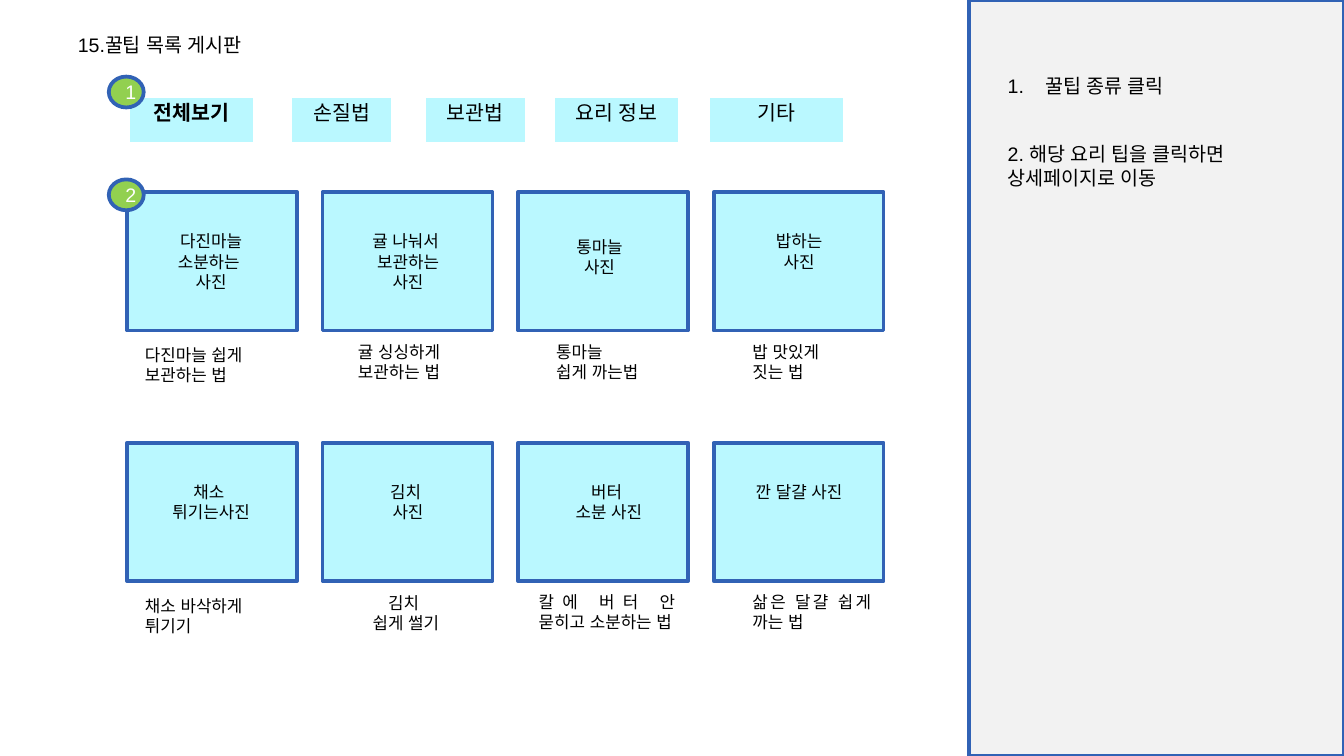
from dataclasses import dataclass
from lxml.etree import SubElement
from pptx import Presentation
from pptx.dml.color import RGBColor
from pptx.enum.shapes import MSO_SHAPE
from pptx.enum.text import MSO_ANCHOR, MSO_AUTO_SIZE, PP_ALIGN
from pptx.oxml.ns import qn
from pptx.util import Inches, Pt

UNIT = 0.1
FONT = "Arial"
BLACK, WHITE = "000000", "FFFFFF"
CYAN, BLUE, GREEN, GREY = "BAF8FF", "3162B5", "92D050", "F2F2F2"
LEFT, MID, JUST = PP_ALIGN.LEFT, PP_ALIGN.CENTER, PP_ALIGN.JUSTIFY

CARD_X, CARD_Y = 9.45, 14.3
CARD_W, CARD_H = 12.65, 10.3
STEP_X, STEP_Y = 14.55, 18.65


@dataclass
class Box:
    x: float
    y: float
    w: float
    h: float

    def emu(self) -> list:
        return [Inches(v * UNIT) for v in (self.x, self.y, self.w, self.h)]


@dataclass
class Tab:
    x: float
    w: float
    text: str
    bold: bool = False


@dataclass
class Label:
    text: str
    dx: float
    dy: float
    w: float
    align: PP_ALIGN = MID


@dataclass
class Card:
    col: int
    row: int
    photo: Label
    title: Label


TABS = [
    Tab(9.6, 9.3, "전체보기", True),
    Tab(21.7, 7.45, "손질법"),
    Tab(31.65, 7.45, "보관법"),
    Tab(41.2, 9.3, "요리 정보"),
    Tab(52.8, 9.95, "기타"),
]

CARDS = [
    Card(0, 0, Label("다진마늘\n소분하는 \n사진", 1.8, 2.4, 8.9),
         Label("다진마늘 쉽게 보관하는 법", 0.35, 10.85, 10.2, LEFT)),
    Card(1, 0, Label("귤 나눠서 \n보관하는\n사진", 1.9, 2.4, 8.9),
         Label("귤 싱싱하게 보관하는 법", 1.65, 10.65, 9.1, LEFT)),
    Card(2, 0, Label("통마늘\n사진", 1.6, 2.8, 8.9),
         Label("통마늘 \n쉽게 까는법", 1.85, 10.6, 10.8, JUST)),
    Card(3, 0, Label("밥하는\n사진", 1.9, 2.4, 8.9),
         Label("밥 맛있게 \n짓는 법", 1.9, 10.6, 10.8, JUST)),
    Card(0, 1, Label("채소 \n튀기는사진", 1.8, 2.4, 8.9),
         Label("채소 바삭하게 튀기기", 0.35, 10.85, 10.2, LEFT)),
    Card(1, 1, Label("김치 \n사진", 1.9, 2.4, 8.9),
         Label("김치 \n쉽게 썰기", 1.65, 10.65, 9.1)),
    Card(2, 1, Label("버터 \n소분 사진", 2.3, 2.4, 8.9),
         Label("칼에 버터 안 묻히고 소분하는 법", 0.55, 10.6, 12.1, JUST)),
    Card(3, 1, Label("깐 달걀 사진", 1.9, 2.4, 8.9),
         Label("삶은 달걀 쉽게 까는 법", 1.9, 10.6, 10.8, JUST)),
]


def hue(code: str) -> RGBColor:
    return RGBColor.from_string(code)


def write(frame, text: str, size: float, color: str = BLACK,
          align: PP_ALIGN = LEFT, bold: bool = False) -> None:
    frame.text = text
    for para in frame.paragraphs:
        para.alignment = align
        font = para.font
        font.name, font.size, font.bold = FONT, Pt(size), bold
        font.color.rgb = hue(color)
        for run in para.runs:
            SubElement(run._r.get_or_add_rPr(), qn("a:ea"), typeface=FONT)


def draw_shape(slide, kind: MSO_SHAPE, box: Box, fill: str):
    shape = slide.shapes.add_shape(kind, *box.emu())
    shape.shadow.inherit = False
    shape.fill.solid()
    shape.fill.fore_color.rgb = hue(fill)
    shape.line.color.rgb = hue(BLUE)
    shape.line.width = Pt(2)
    return shape


def draw_text(slide, box: Box, text: str, size: float,
              align: PP_ALIGN = LEFT, wrap: bool = True):
    frame = slide.shapes.add_textbox(*box.emu()).text_frame
    frame.word_wrap = wrap
    frame.auto_size = MSO_AUTO_SIZE.SHAPE_TO_FIT_TEXT
    write(frame, text, size, align=align)
    return frame


def draw_title(slide, box: Box, text: str) -> None:
    title = slide.shapes.title
    title.left, title.top, title.width, title.height = box.emu()
    frame = title.text_frame
    frame.word_wrap = False
    frame.auto_size = MSO_AUTO_SIZE.SHAPE_TO_FIT_TEXT
    frame.vertical_anchor = MSO_ANCHOR.TOP
    write(frame, text, 10.5)


def draw_tab(slide, tab: Tab) -> None:
    box = Box(tab.x, 7.2, tab.w, 3.4)
    cell = slide.shapes.add_table(1, 1, *box.emu()).table.cell(0, 0)
    cell.margin_left = cell.margin_right = Inches(0.07)
    cell.margin_top = cell.margin_bottom = Inches(0.04)
    cell.fill.solid()
    cell.fill.fore_color.rgb = hue(CYAN)
    write(cell.text_frame, tab.text, 11, align=MID, bold=tab.bold)


def draw_card(slide, card: Card) -> None:
    x, y = CARD_X + card.col * STEP_X, CARD_Y + card.row * STEP_Y
    draw_shape(slide, MSO_SHAPE.RECTANGLE, Box(x, y, CARD_W, CARD_H), CYAN)
    for label in (card.photo, card.title):
        rows = 1.2 + 1.4 * max(2, label.text.count("\n") + 1)
        box = Box(x + label.dx, y + label.dy, label.w, rows)
        draw_text(slide, box, label.text, 9, label.align)


def draw_badge(slide, y: float, text: str) -> None:
    box = Box(8.1, y, 2.6, 2.3)
    badge = draw_shape(slide, MSO_SHAPE.FLOWCHART_CONNECTOR, box, GREEN)
    badge.text_frame.vertical_anchor = MSO_ANCHOR.MIDDLE
    write(badge.text_frame, text, 10.5, WHITE, MID)


def number(para) -> None:
    props = para._p.get_or_add_pPr()
    indent = Inches(0.28)
    props.set("marL", str(indent))
    props.set("indent", str(-indent))
    mark = SubElement(props, qn("a:buAutoNum"), type="arabicPeriod")
    props.remove(mark)
    props.insert(0, mark)


def main() -> None:
    deck = Presentation()
    deck.slide_width = Inches(10)
    deck.slide_height = deck.slide_width * 9 // 16
    slide = deck.slides.add_slide(deck.slide_layouts[5])
    draw_title(slide, Box(4.8, 1.95, 15.2, 2.8), "15.꿀팁 목록 게시판")
    for tab in TABS:
        draw_tab(slide, tab)
    for card in CARDS:
        draw_card(slide, card)
    draw_shape(slide, MSO_SHAPE.RECTANGLE, Box(72.1, 0, 27.9, 56.25), GREY)
    note = draw_text(slide, Box(74, 5, 14.7, 2.8), "꿀팁 종류 클릭", 10.5, wrap=False)
    number(note.paragraphs[0])
    draw_text(slide, Box(74, 10.1, 20, 4.5),
              "2. 해당 요리 팁을 클릭하면\n상세페이지로 이동", 10.5, wrap=False)
    for y, text in ((5.7, "1"), (13.35, "2")):
        draw_badge(slide, y, text)
    deck.save("out.pptx")


if __name__ == "__main__":
    main()
